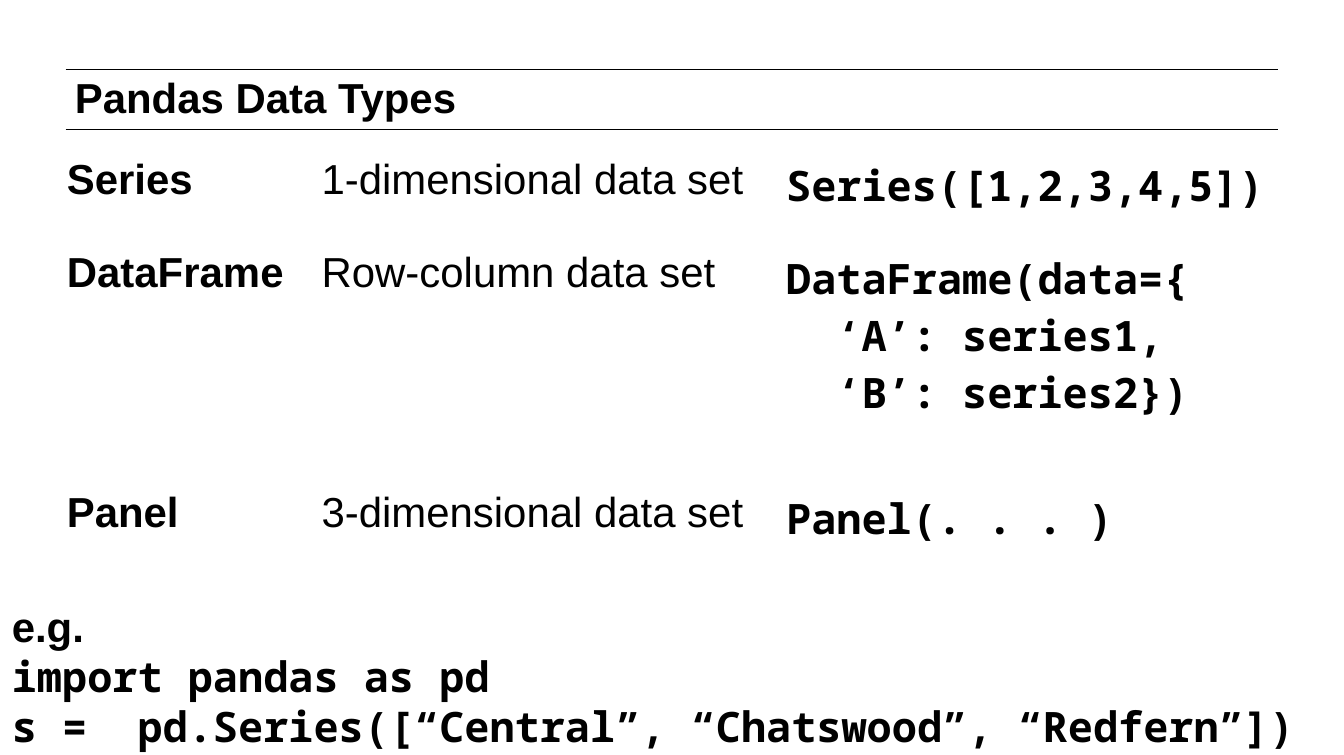
from pptx import Presentation
from pptx.dml.color import RGBColor
from pptx.enum.shapes import MSO_CONNECTOR
from pptx.enum.text import MSO_ANCHOR
from pptx.oxml.ns import qn
from pptx.util import Cm, Pt
from lxml import etree

STRAIGHT = MSO_CONNECTOR.STRAIGHT
TOP, MIDDLE = MSO_ANCHOR.TOP, MSO_ANCHOR.MIDDLE

COLORS = {"ink": "000000"}
SIZE = Pt(23)
STYLES = {
    "label": {"name": "Arial", "size": SIZE, "bold": True},
    "body": {"name": "Arial", "size": SIZE, "bold": False},
    "code": {"name": "Noto Sans Mono", "size": SIZE, "bold": True},
}

DATA_TYPES = [
    ("Series", "1-dimensional data set", ["Series([1,2,3,4,5])"]),
    ("DataFrame", "Row-column data set",
     ["DataFrame(data={", "  ‘A’: series1,", "  ‘B’: series2})"]),
    ("Panel", "3-dimensional data set", ["Panel(. . . )"]),
]
EXAMPLE = [
    ("e.g.", "label"),
    ("import pandas as pd", "code"),
    ("s =  pd.Series([“Central”, “Chatswood”, “Redfern”])", "code"),
]


class Deck:
    def __init__(self, slide):
        self.s = slide
        self.ink = RGBColor.from_string(COLORS["ink"])

    def fill_text(self, tf, lines, spacing=None):
        """Fill a text frame with (text, style name) paragraphs."""
        for i, (text, style) in enumerate(lines):
            p = tf.paragraphs[0] if i == 0 else tf.add_paragraph()
            if spacing:
                p.line_spacing = spacing
            r = p.add_run()
            r.text = text
            for key, value in STYLES[style].items():
                setattr(r.font, key, value)
            r.font.color.rgb = self.ink

    def rule(self, y, left=1.27, right=24.74):
        c = self.s.shapes.add_connector(
            STRAIGHT, Cm(left), Cm(y), Cm(right), Cm(y))
        c.line.color.rgb = self.ink
        c.line.width = Pt(0.5)
        etree.SubElement(c._element.spPr, qn("a:effectLst"))

    def text(self, box, lines, anchor=TOP, wrap=True, spacing=None):
        tf = self.s.shapes.add_textbox(*map(Cm, box)).text_frame
        tf.word_wrap = wrap
        tf.vertical_anchor = anchor
        for side in ("left", "top", "right", "bottom"):
            setattr(tf, f"margin_{side}", Cm(0.15))
        self.fill_text(tf, lines, spacing)

    def table(self, left, top, widths, heights, rows):
        box = map(Cm, (left, top, sum(widths), sum(heights)))
        table = self.s.shapes.add_table(len(rows), len(widths), *box).table
        table.first_row = table.horz_banding = False
        for col, width in zip(table.columns, widths):
            col.width = Cm(width)
        for row, height, cells in zip(table.rows, heights, rows):
            row.height = Cm(height)
            for cell, lines in zip(row.cells, cells):
                cell.fill.background()
                self.fill_text(cell.text_frame, lines)


def main():
    prs = Presentation()
    prs.slide_width, prs.slide_height = Cm(26.01), Cm(14.61)
    deck = Deck(prs.slides.add_slide(prs.slide_layouts[6]))

    for y in (1.35, 2.51):
        deck.rule(y)
    deck.text((1.3, 1.4, 21.87, 2.82), [("Pandas Data Types", "label")],
              spacing=SIZE)
    rows = [([(name, "label")], [(meaning, "body")],
             [(line, "code") for line in code])
            for name, meaning, code in DATA_TYPES]
    deck.table(1.04, 2.9, (4.93, 8.99, 10.8), (1.8, 4.65, 4.65), rows)
    deck.text((0.08, 11.46, 25.35, 3.23), EXAMPLE, MIDDLE, wrap=False,
              spacing=Pt(27.6))

    prs.save("out.pptx")


if __name__ == "__main__":
    main()
